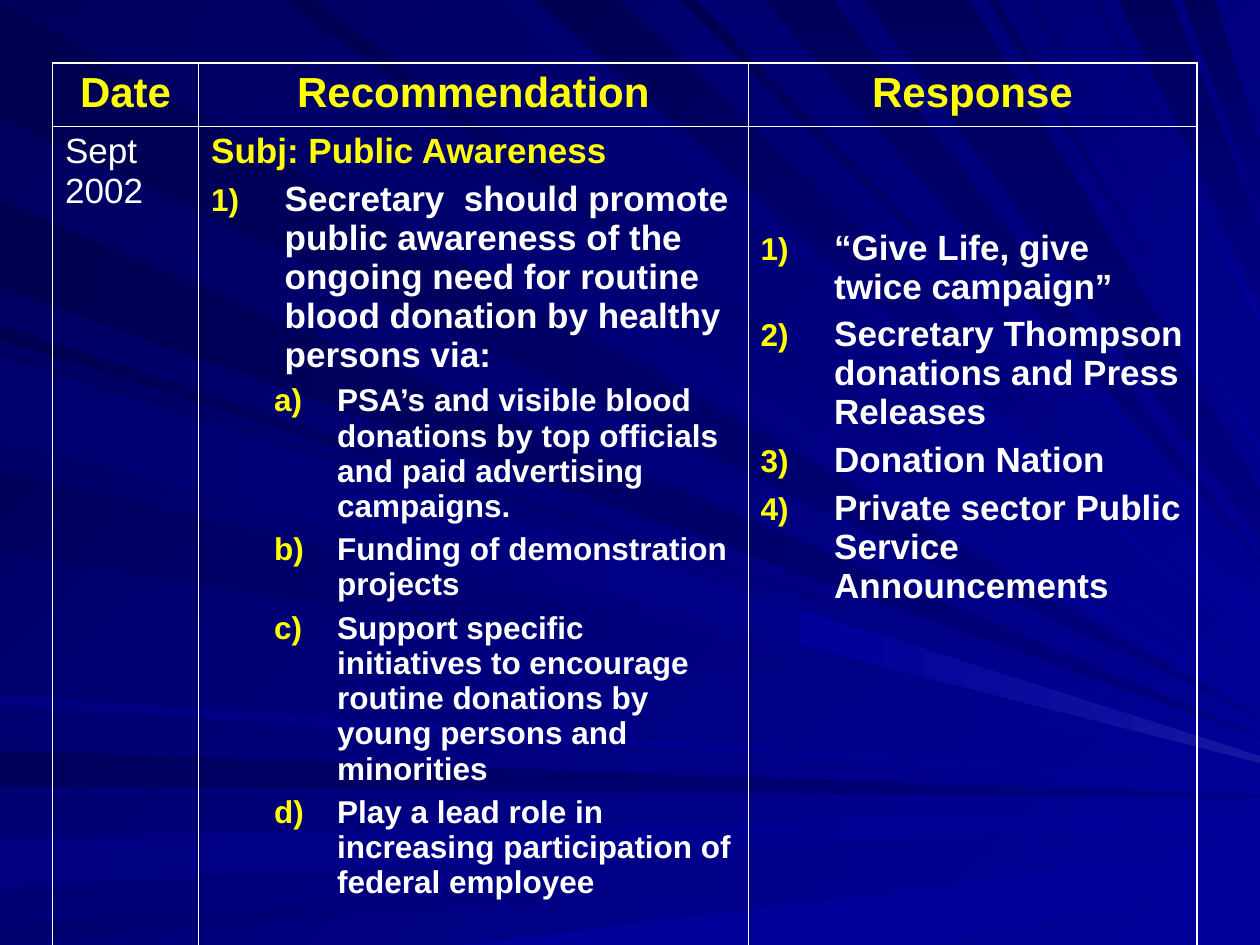
from typing import NamedTuple, Optional

from lxml.etree import SubElement
from pptx import Presentation
from pptx.dml.color import RGBColor
from pptx.enum.text import PP_ALIGN as Align
from pptx.oxml.ns import qn
from pptx.util import Pt

BRIGHT = RGBColor.from_string("000099")
MEDIUM = RGBColor.from_string("000080")
DIM = RGBColor.from_string("00006E")
DARK = RGBColor.from_string("00005C")
DEEP = RGBColor.from_string("000050")
GLINT = RGBColor.from_string("1616A1")
YELLOW = RGBColor.from_string("FFFF00")
WHITE = RGBColor.from_string("FFFFFF")

WIDTH, HEIGHT = 720, 540
FROM_RIGHT, FROM_CORNER, FROM_TOP = 180, 135, 270
OUTER_LINE, INNER_LINE = Pt(1.08), Pt(0.45)
COLUMN_WIDTHS = (83.5, 314, 256.5)
ROW_HEIGHTS = (36, 476)


class Paint(NamedTuple):
    start: RGBColor
    end: RGBColor
    angle: int


class Ray(NamedTuple):
    points: list[tuple[float, float]]
    paint: Paint


class Numbering(NamedTuple):
    scheme: str
    indent: float
    hanging: float
    size_percent: int


class Line(NamedTuple):
    text: str
    size: float = 20
    color: RGBColor = WHITE
    bold: bool = True
    space_before: float = 5
    numbering: Optional[Numbering] = None
    align: Align = Align.LEFT


class CellText(NamedTuple):
    lines: list[Line]
    top_margin: float = 3.6


def tip_points(tip: float, spread: float) -> list[tuple[float, float]]:
    return [(WIDTH, tip + spread / 2), (WIDTH, tip - spread / 2)]


def from_left(top: float, bottom: float, tip: float, paint: Paint, spread: float = 1) -> Ray:
    """A ray from a stretch of the left edge to a narrow tip on the right edge."""
    return Ray([(0, top), (0, bottom), *tip_points(tip, spread)], paint)


def from_top(left: float, right: float, tip: float, paint: Paint, spread: float = 1) -> Ray:
    """A ray from a stretch of the top edge to a narrow tip on the right edge."""
    return Ray([(right, 0), (left, 0), *tip_points(tip, spread)], paint)


BACKDROP = Paint(BRIGHT, DARK, FROM_CORNER)
DEEP_SLANT = Paint(BRIGHT, DEEP, FROM_CORNER)
DIM_SLANT = Paint(BRIGHT, DIM, FROM_CORNER)
DEEP_FLAT = Paint(MEDIUM, DEEP, FROM_RIGHT)
DARK_FLAT = Paint(MEDIUM, DARK, FROM_RIGHT)
DIM_FLAT = Paint(BRIGHT, DIM, FROM_RIGHT)
CLEAR_FLAT = Paint(BRIGHT, MEDIUM, FROM_RIGHT)
DOWNWARD = Paint(DARK, MEDIUM, FROM_TOP)
SPARKLE = Paint(GLINT, BRIGHT, FROM_RIGHT)
PLAIN = Paint(BRIGHT, BRIGHT, FROM_RIGHT)

RAYS = [
    from_left(1, 67, 410, DEEP_FLAT),
    from_top(19, 73, 405, BACKDROP),
    from_left(429, 449, 455, DARK_FLAT),
    from_left(479, 507, 466, CLEAR_FLAT, 6),
    from_left(529, 540, 477, DIM_FLAT),
    Ray([(262, HEIGHT), (534, HEIGHT), *tip_points(492, 16)], PLAIN),
    from_left(186, 194, 424, DEEP_SLANT),
    from_left(115, 164, 421, DEEP_FLAT),
    from_top(287, 300, 373, DIM_SLANT, 4),
    from_top(307, 354, 355, DEEP_SLANT, 20),
    from_top(389, 397, 333, DEEP_SLANT),
    from_top(436, 476, 321, DOWNWARD),
    from_top(639, 670, 151, DOWNWARD, 39),
    from_top(676, 694, 101, DOWNWARD, 38),
    from_left(200, 246, 431, BACKDROP, 4),
    from_left(269, 315, 436, BACKDROP),
    from_left(397, 403, 448, CLEAR_FLAT),
    from_top(162, 178, 396, DEEP_SLANT, 4),
    from_top(415, 423, 326, DIM_SLANT),
    from_top(494, 554, 294, DOWNWARD, 27),
    from_top(565, 570, 257, BACKDROP, 4),
    from_top(587, 593, 242, DIM_SLANT),
    from_top(623, 628, 182, DIM_SLANT, 6),
    from_left(204, 250, 434, DIM_FLAT, 4),
    Ray([(459, 349), (456, 368), *tip_points(434, 4)], SPARKLE),
]

NUMBERS = Numbering("arabicParenR", 42, -42, 90)
LETTERS = Numbering("alphaLcParenR", 72, -36, 100)


def header(text: str) -> CellText:
    return CellText([Line(text, size=24, color=YELLOW, align=Align.CENTER)])


def numbered(*texts: str) -> list[Line]:
    return [Line(text, numbering=NUMBERS) for text in texts]


def lettered(*texts: str) -> list[Line]:
    return [Line(text, size=18, space_before=4.5, numbering=LETTERS) for text in texts]


ROWS = [
    [header("Date"), header("Recommendation"), header("Response")],
    [
        CellText([Line("Sept 2002", bold=False)]),
        CellText([
            Line("Subj: Public Awareness", color=YELLOW),
            *numbered("Secretary  should promote public awareness of the ongoing need for "
                      "routine blood donation by healthy persons via:"),
            *lettered("PSA’s and visible blood donations by top officials and paid advertising campaigns.",
                      "Funding of demonstration projects",
                      "Support specific initiatives to encourage routine donations by young persons "
                      "and minorities",
                      "Play a lead role in increasing participation of federal employee"),
        ]),
        CellText(numbered("“Give Life, give twice campaign”",
                          "Secretary Thompson donations and Press Releases",
                          "Donation Nation",
                          "Private sector Public Service Announcements"), top_margin=58.5),
    ],
]


def apply_paint(fill, paint: Paint) -> None:
    fill.gradient()
    fill.gradient_angle = paint.angle
    for stop, color in zip(fill.gradient_stops, (paint.start, paint.end)):
        stop.color.rgb = color


def draw_ray(slide, ray: Ray) -> None:
    first, *others = [(Pt(x), Pt(y)) for x, y in ray.points]
    builder = slide.shapes.build_freeform(*first)
    builder.add_line_segments(others, close=True)
    shape = builder.convert_to_shape()
    shape.shadow.inherit = False
    shape.line.fill.background()
    apply_paint(shape.fill, ray.paint)


def add_numbering(paragraph, numbering: Numbering) -> None:
    properties = paragraph._p.get_or_add_pPr()
    properties.set("marL", str(Pt(numbering.indent)))
    properties.set("indent", str(Pt(numbering.hanging)))
    color = SubElement(properties, qn("a:buClr"))
    SubElement(color, qn("a:srgbClr"), val=str(YELLOW))
    SubElement(properties, qn("a:buSzPct"), val=str(numbering.size_percent * 1000))
    SubElement(properties, qn("a:buAutoNum"), type=numbering.scheme)


def set_borders(cell, row: int, column: int) -> None:
    """Heavier lines on the rim of the table, thin ones inside."""
    on_rim = {"lnL": column == 0, "lnR": column == len(COLUMN_WIDTHS) - 1,
              "lnT": row == 0, "lnB": row == len(ROW_HEIGHTS) - 1}
    for side, outer in on_rim.items():
        line = SubElement(cell._tc.get_or_add_tcPr(), qn(f"a:{side}"), w=str(OUTER_LINE if outer else INNER_LINE))
        SubElement(SubElement(line, qn("a:solidFill")), qn("a:srgbClr"), val=str(WHITE))


def write_cell(cell, content: CellText) -> None:
    cell.margin_left = cell.margin_right = Pt(7.2)
    cell.margin_top, cell.margin_bottom = Pt(content.top_margin), Pt(3.6)
    cell.text_frame.text = "\n".join(line.text for line in content.lines)
    for index, (paragraph, line) in enumerate(zip(cell.text_frame.paragraphs, content.lines)):
        if line.numbering:
            add_numbering(paragraph, line.numbering)
        paragraph.alignment = line.align
        paragraph.space_before = Pt(line.space_before if index else 0)
        font = paragraph.runs[0].font
        font.name, font.size, font.bold = "Arial", Pt(line.size), line.bold
        font.color.rgb = line.color


def draw_table(slide) -> None:
    table = slide.shapes.add_table(len(ROW_HEIGHTS), len(COLUMN_WIDTHS), Pt(30), Pt(36),
                                   Pt(sum(COLUMN_WIDTHS)), Pt(sum(ROW_HEIGHTS))).table
    table.first_row = table.horz_banding = False
    for column, width in zip(table.columns, COLUMN_WIDTHS):
        column.width = Pt(width)
    for row_index, (height, contents) in enumerate(zip(ROW_HEIGHTS, ROWS)):
        table.rows[row_index].height = Pt(height)
        for column_index, content in enumerate(contents):
            cell = table.cell(row_index, column_index)
            set_borders(cell, row_index, column_index)
            cell.fill.background()
            write_cell(cell, content)


def main() -> None:
    presentation = Presentation()
    presentation.slide_width, presentation.slide_height = Pt(WIDTH), Pt(HEIGHT)
    slide = presentation.slides.add_slide(presentation.slide_layouts[6])
    apply_paint(slide.background.fill, BACKDROP)
    for ray in RAYS:
        draw_ray(slide, ray)
    draw_table(slide)
    presentation.save("out.pptx")


if __name__ == "__main__":
    main()
